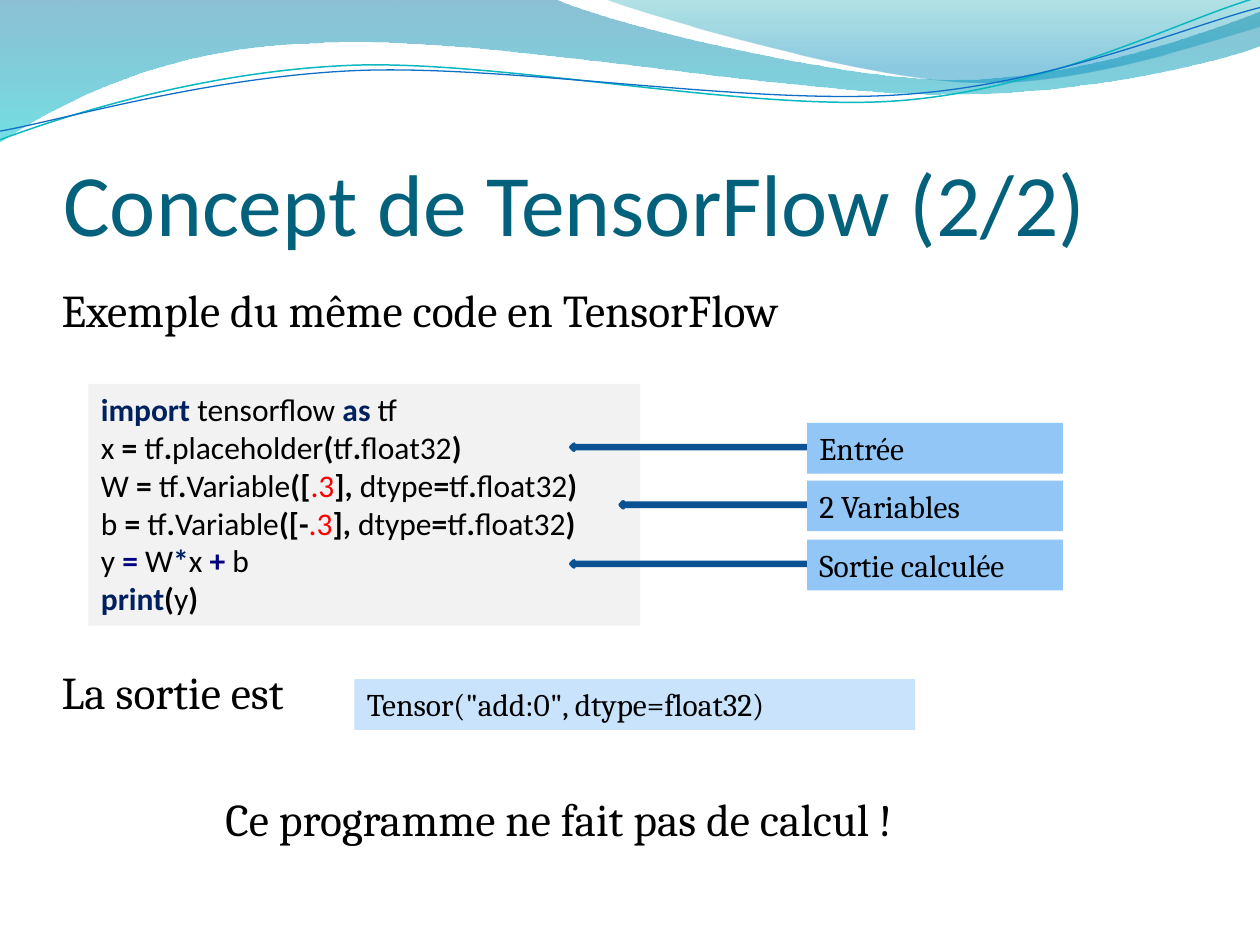
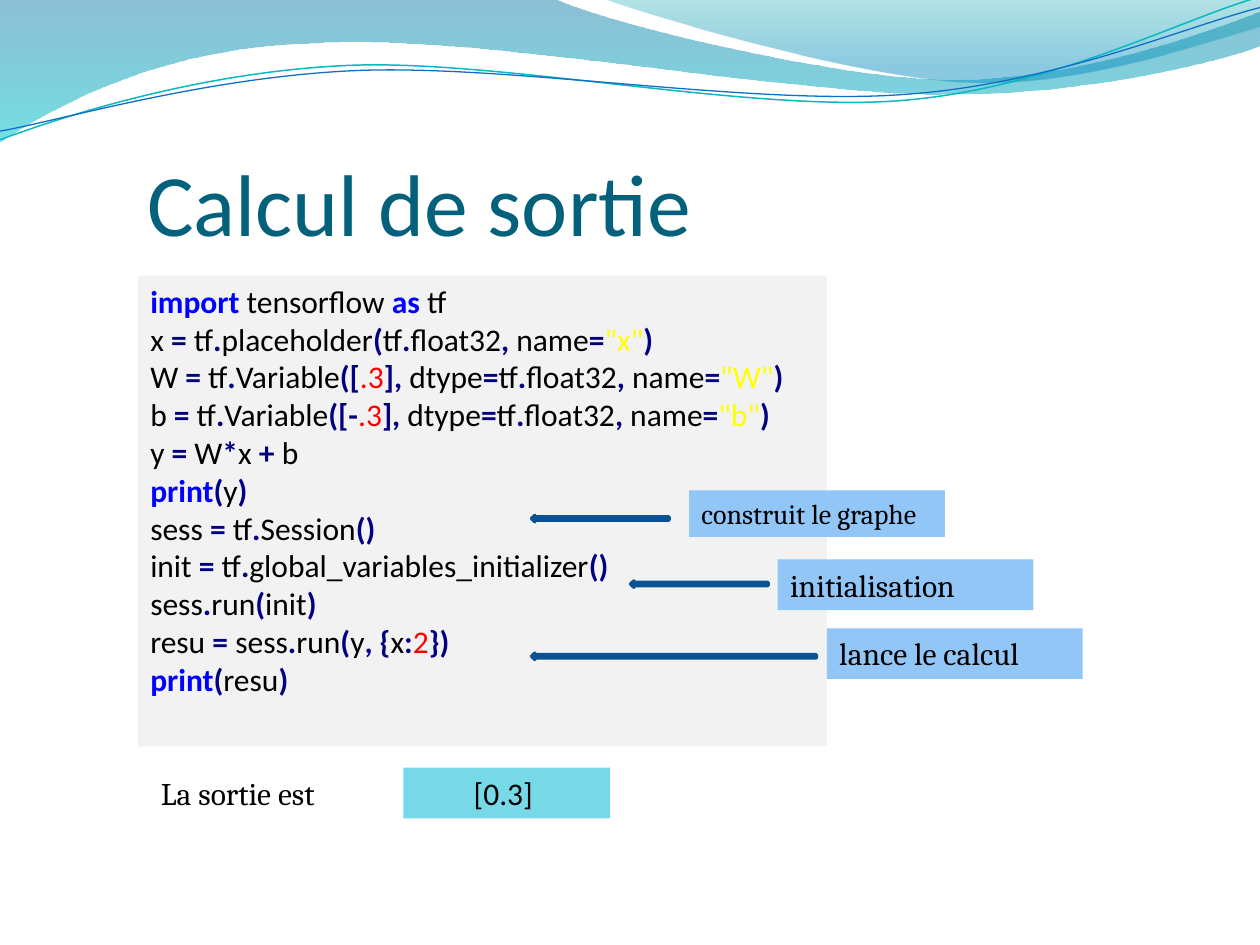
from lxml import etree
from pptx import Presentation
from pptx.dml.color import RGBColor
from pptx.enum import shapes, text
from pptx.oxml import ns
from pptx.util import Pt

COLORS = {
    "title": "04617B", "black": "000000", "code": "F2F2F2", "label": "91C6F7",
    "output": "C8E3FB", "result": "77D9E8", "arrow": "0F6FC6", "edge": "0B5292",
    "teal": "0AB8BF", "navy": "000080", "ink": "002060", "blue": "0000FF",
    "red": "FF0000", "yellow": "FFFF00", "deep": "0074A1", "aqua": "00C6CF",
    "sea": "00A1A9", "sky": "008BBF",
}
HEAD, BODY = "Calibri", "Cambria"
KEYWORDS = {"import", "as", "print"}

# Outlines in points: a pair is a line end, six numbers are a cubic curve.
BANDS = [
    ([(0, 0), (316.8, -0.7), (342.7, 12.2, 478.1, 45.4, 545.8, 45.4),
      (614.2, 45.4, 689.8, 18.7, 720, 6.5), (720.7, 25.9),
      (707.8, 31.7, 626.4, 54.7, 537.1, 54), (447.8, 54, 275, 20.2, 185, 24.5),
      (92.9, 25.9, 33.1, 59.8, -0.7, 81.4)],
     [(0, "deep", 45), (1, "aqua", 55)]),
    ([(344.9, -0.7), (366.5, 7.9, 491, 44.6, 553.7, 46.8),
      (616.3, 49.7, 691.9, 23, 720, 15.1), (720, 0)],
     [(0, "sea", 30), (0.8, "sky", 45)]),
]
WAVES = [
    ([(0, 79.9), (34.6, 67, 113.8, 41, 199.4, 37.4),
      (284.4, 33.8, 427, 64.1, 513.4, 57.6), (599.8, 51.1, 675.4, 10.8, 718.6, -1.4)],
     "teal", 0.85),
    ([(0, 74.9), (33.8, 69.1, 118.1, 43.9, 203.8, 40.3),
      (290.2, 36.7, 429.8, 60.5, 516.2, 54), (601.9, 48.2, 677.5, 15.1, 720, 4.3)],
     "arrow", 0.75),
]


def rgb(name):
    return RGBColor.from_string(COLORS[name])


def bend(sp, segments):
    """Turn the straight pieces that stand for cubic curves into curves."""
    for line, seg in zip(list(sp._element.iter(ns.qn("a:lnTo"))), segments):
        if len(seg) == 6:
            curve = etree.Element(ns.qn("a:cubicBezTo"))
            for x, y in zip(seg[::2], seg[1::2]):
                pt = etree.SubElement(curve, ns.qn("a:pt"))
                pt.set("x", str(Pt(x) - sp.left))
                pt.set("y", str(Pt(y) - sp.top))
            line.getparent().replace(line, curve)


def write(tf, paras, size=18, font=BODY, color="black", align=text.PP_ALIGN.LEFT,
          anchor=text.MSO_ANCHOR.TOP, before=(), indents=(), wrap=True):
    """Fill a frame; a paragraph is a string or a list of (text, colour, bold)."""
    tf.word_wrap, tf.vertical_anchor = wrap, anchor
    for i, runs in enumerate(paras):
        p = tf.paragraphs[0] if i == 0 else tf.add_paragraph()
        p.alignment = align
        if before:
            p.space_before = Pt(before[i])
        if indents:
            p._p.get_or_add_pPr().set("marL", str(Pt(indents[i])))
        for words, shade, bold in [(runs, color, False)] if isinstance(runs, str) else runs:
            r = p.add_run()
            r.text = words
            r.font.size, r.font.name, r.font.bold = Pt(size), font, bold
            r.font.color.rgb = rgb(shade)


def code_runs(line, palette):
    """Colour the tokens of a line, which are separated by bars."""
    runs = []
    for token in line.split("|"):
        word = token.strip()
        if word in KEYWORDS:
            kind = "keyword"
        elif word.startswith('"'):
            kind = "string"
        elif word.lstrip(".").isdigit():
            kind = "number"
        else:
            kind = "plain" if word[0].isalpha() else "operator"
        color = palette.get(token, palette[kind])
        runs.append((token, color, kind in ("keyword", "operator")))
    return runs


class Deck:
    def __init__(self):
        self.prs = Presentation()
        self.prs.slide_width, self.prs.slide_height = Pt(720), Pt(540)
        self.s = None

    def slide(self, title, left):
        self.s = self.prs.slides.add_slide(self.prs.slide_layouts[6])
        for outline, stops in BANDS:
            self.band(outline, stops)
        for outline, color, width in WAVES:
            self.wave(outline, color, width)
        tf = self.text(left, 55.4, 684 - left, 90, [title], size=50, font=HEAD,
                       color="title", anchor=text.MSO_ANCHOR.BOTTOM)
        tf.margin_left = tf.margin_right = tf.margin_bottom = 0
        tf.margin_top = Pt(3.6)

    def outline(self, outline, close):
        ends = [(Pt(seg[-2]), Pt(seg[-1])) for seg in outline]
        fb = self.s.shapes.build_freeform(*ends[0], scale=1.0)
        fb.add_line_segments(ends[1:], close=close)
        sp = fb.convert_to_shape()
        bend(sp, outline[1:])
        sp.shadow.inherit = False
        return sp

    def band(self, outline, stops):
        sp = self.outline(outline, True)
        sp.line.fill.background()
        sp.fill.gradient()
        sp.fill.gradient_angle = 270
        for stop, (position, color, _) in zip(sp.fill.gradient_stops, stops):
            stop.position = position
            stop.color.rgb = rgb(color)
        for node, (_, _, opacity) in zip(sp._element.iter(ns.qn("a:srgbClr")), stops):
            etree.SubElement(node, ns.qn("a:alpha")).set("val", str(opacity * 1000))

    def wave(self, outline, color, width):
        sp = self.outline(outline, False)
        sp.fill.background()
        sp.line.color.rgb, sp.line.width = rgb(color), Pt(width)

    def text(self, x, y, w, h, paras, **fmt):
        tf = self.s.shapes.add_textbox(Pt(x), Pt(y), Pt(w), Pt(h)).text_frame
        write(tf, paras, **fmt)
        return tf

    def shape(self, kind, x, y, w, h, fill):
        sp = self.s.shapes.add_shape(kind, Pt(x), Pt(y), Pt(w), Pt(h))
        sp.shadow.inherit = False
        sp.fill.solid()
        sp.fill.fore_color.rgb = rgb(fill)
        sp.line.fill.background()
        return sp

    def box(self, x, y, w, h, fill, paras, **fmt):
        sp = self.shape(shapes.MSO_SHAPE.RECTANGLE, x, y, w, h, fill)
        write(sp.text_frame, paras, **fmt)

    def label(self, x, y, words, h=29, size=18):
        self.box(x, y, 146.2, h, "label", [words], size=size)

    def code(self, x, y, w, h, lines, palette):
        self.box(x, y, w, h, "code", [code_runs(line, palette) for line in lines],
                 font=HEAD, align=text.PP_ALIGN.JUSTIFY)

    def arrow(self, x, y, w):
        """Thin arrow that points left."""
        sp = self.shape(shapes.MSO_SHAPE.RIGHT_ARROW, x, y, w, 3.6, "arrow")
        sp.rotation = 180
        sp._element.spPr.get_or_add_xfrm().set("flipV", "1")
        sp.line.color.rgb, sp.line.width = rgb("edge"), Pt(2)


def concept(deck):
    deck.slide("Concept de TensorFlow (2/2)", 36.2)
    deck.text(28.1, 157.5, 648, 345.6,
              ["Exemple du même code en TensorFlow", "La sortie est",
               "Ce programme ne fait pas de calcul !"],
              size=26, before=(0, 187.2, 41.6), indents=(0, 0, 93.6))
    palette = {"plain": "black", "operator": "black", "keyword": "ink", "number": "red",
               "= ": "navy", "+ ": "navy", "*": "ink"}
    deck.code(50.6, 219.4, 315.2, 138.2, [
        "import |tensorflow |as |tf",
        "x |=| tf|.|placeholder|(|tf|.|float32|)",
        "W |=| tf|.|Variable|([|.3|],| dtype|=|tf|.|float32|)",
        "b |=| tf|.|Variable|([-|.3|],| dtype|=|tf|.|float32|)",
        "y |= |W|*|x |+ |b",
        "print|(|y|)",
    ], palette)
    deck.box(202.5, 388.1, 320.4, 29, "output", ['Tensor("add:0", dtype=float32)'])
    label_left = 461.2
    rows = [(241.7, 326.2, "Entrée"), (274.6, 354.4, "2 Variables"),
            (308.4, 326.2, "Sortie calculée")]
    for y, tip, _ in rows:
        deck.arrow(tip, y + 12, label_left - tip)
    for y, _, words in rows:
        deck.label(label_left, y, words)


def output(deck):
    deck.slide("Calcul de sortie", 84.2)
    palette = {"plain": "black", "operator": "navy", "keyword": "blue",
               "number": "red", "string": "yellow"}
    deck.code(78.8, 157.5, 393.8, 269, [
        "import |tensorflow |as |tf",
        'x |= |tf|.|placeholder|(|tf|.|float32|, |name|=|"x"|)',
        'W |= |tf|.|Variable|([|.3|], |dtype|=|tf|.|float32|, |name|=|"W"|)',
        'b |= |tf|.|Variable|([-|.3|], |dtype|=|tf|.|float32|, |name|=|"b"|)',
        "y |= |W|*|x |+ |b",
        "print|(|y|)",
        "sess |= |tf|.|Session|()",
        "init |= |tf|.|global_variables_initializer|()",
        "sess|.|run|(|init|)",
        "resu |= |sess|.|run|(|y|, {|x|:|2|}) ",
        "print|(|resu|)",
    ], palette)
    deck.label(444.4, 319.6, "initialisation")
    deck.label(472.5, 359, "lance le calcul")
    deck.label(393.8, 280.2, "construit le graphe", h=26.6, size=16)
    for x, y, w in [(303.8, 294.5, 78.5), (303.8, 373.2, 162.7), (360.4, 331.9, 78.5)]:
        deck.arrow(x, y, w)
    deck.text(84.9, 438.7, 112.3, 29, ["La sortie est"], wrap=False)
    deck.box(230.6, 438.7, 118.1, 29, "result", ["[0.3] "], font=HEAD,
             align=text.PP_ALIGN.CENTER)


def main():
    deck = Deck()
    concept(deck)
    output(deck)
    deck.prs.save("out.pptx")


if __name__ == "__main__":
    main()
